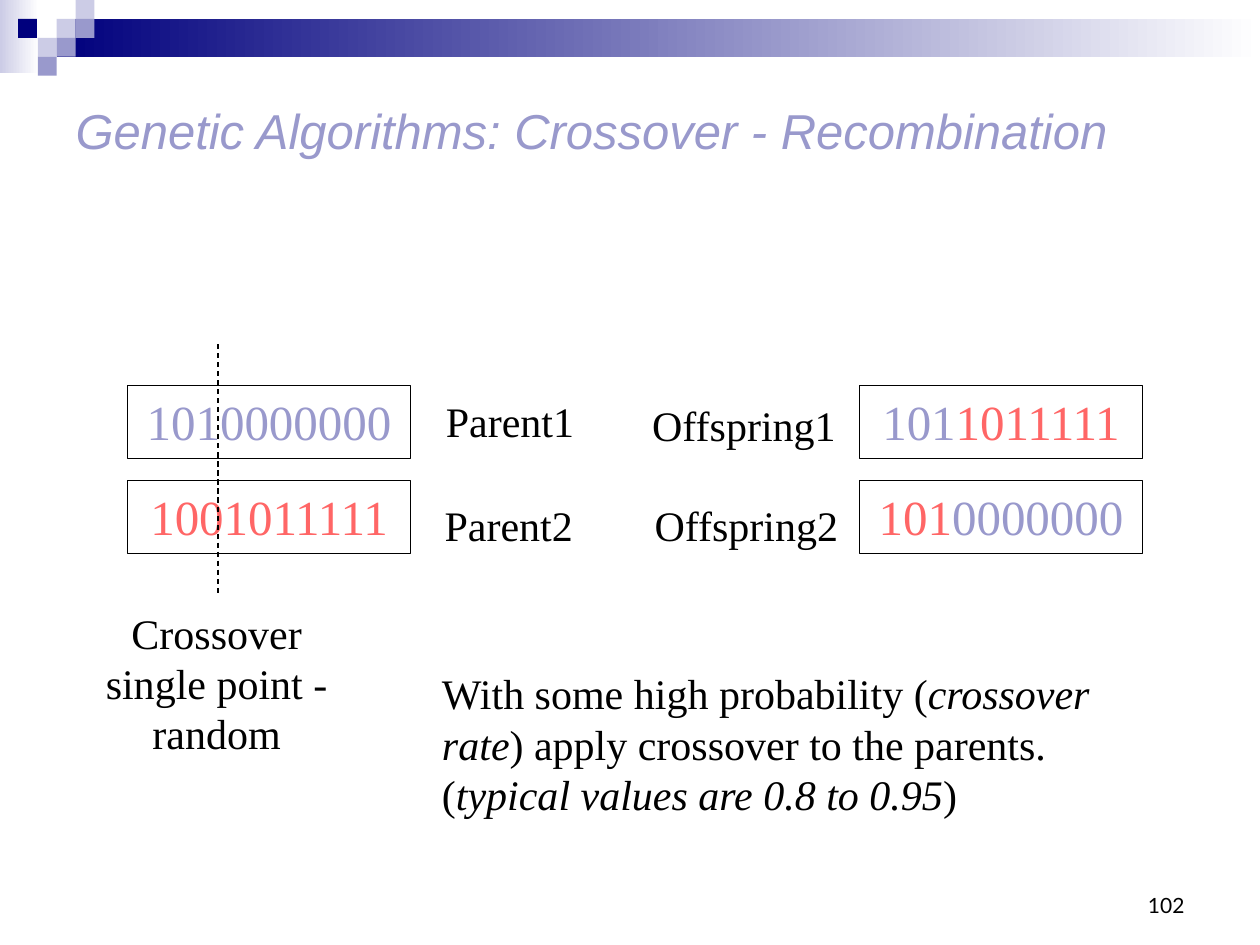
from lxml import etree
from pptx import Presentation
from pptx.dml.color import RGBColor
from pptx.enum.dml import MSO_LINE
from pptx.enum.shapes import MSO_CONNECTOR, MSO_SHAPE
from pptx.enum.text import MSO_ANCHOR, MSO_AUTO_SIZE, PP_ALIGN
from pptx.oxml.ns import qn
from pptx.util import Pt

RECT = MSO_SHAPE.RECTANGLE
LEFT, CENTER, RIGHT = PP_ALIGN.LEFT, PP_ALIGN.CENTER, PP_ALIGN.RIGHT
TOP, MIDDLE, BOTTOM = MSO_ANCHOR.TOP, MSO_ANCHOR.MIDDLE, MSO_ANCHOR.BOTTOM
SERIF = "Times New Roman"
COLORS = {"navy": "00007D", "violet": "9999CC", "pale": "CCCCE6",
          "red": "FF6666", "black": "000000", "white": "FFFFFF"}

# Content: each run is (text, color, italic)
TITLE = "Genetic Algorithms: Crossover - Recombination"
PAGE_NUMBER = "102"
PARENTS = [[("1010000000", "violet", False)],
           [("1001011111", "red", False)]]
OFFSPRING = [[("101", "violet", False), ("1011111", "red", False)],
             [("101", "red", False), ("0000000", "violet", False)]]
RATE_NOTE = [("With some high probability (", "black", False),
             ("crossover rate", "black", True),
             (") apply crossover to the parents. (", "black", False),
             ("typical values are 0.8 to 0.95", "black", True),
             (")", "black", False)]
LABELS = [  # text, alignment, (left, top, width, height)
    ("Parent1", LEFT, (247.7, 222.5, 121, 36)),
    ("Parent2", LEFT, (247, 282.2, 90, 36)),
    ("Offspring1", RIGHT, (356.4, 224.6, 128.2, 36)),
    ("Offspring2", RIGHT, (357.8, 282.2, 128.2, 36)),
    ("Crossover single point - random", CENTER, (53.3, 343.4, 141, 93.6)),
]

# Layout
TILE = 10.8
TILES = [(32.4, 10.8, "pale"), (43.2, 0, "pale"), (43.2, 10.8, "violet"),
         (21.6, 21.6, "pale"), (10.3, 10.8, "navy"), (32.4, 21.6, "violet"),
         (21.6, 32.4, "violet")]
BANDS = [((0, 0, 22.3, 41.8), "pale"), ((32.4, 10.8, 687.6, 21.6), "navy")]
GENOME_TOP, GENOME_STEP = 220.4, 54.2
GENOME_WIDTH, GENOME_HEIGHT = 162, 41.8
PARENT_LEFT, OFFSPRING_LEFT = 72.7, 491
CUT_X, CUT_TOP, CUT_BOTTOM = 124.6, 196.6, 340.6


def rgb(name):
    return RGBColor.from_string(COLORS[name])


def add_rect(slide, box):
    rect = slide.shapes.add_shape(RECT, *map(Pt, box))
    rect.shadow.inherit = False
    rect.line.fill.background()
    return rect


def write(shape, runs, size, align, font=SERIF, anchor=TOP):
    frame = shape.text_frame
    frame.word_wrap = True
    frame.auto_size = MSO_AUTO_SIZE.NONE
    frame.vertical_anchor = anchor
    paragraph = frame.paragraphs[0]
    paragraph.alignment = align
    for text, color, italic in runs:
        run = paragraph.add_run()
        run.text = text
        run.font.name, run.font.size = font, Pt(size)
        run.font.italic = italic
        run.font.color.rgb = rgb(color)


def add_text(slide, box, runs, size, align, **style):
    write(slide.shapes.add_textbox(*map(Pt, box)), runs, size, align, **style)


def add_genomes(slide, left, genomes):
    for row, runs in enumerate(genomes):
        top = GENOME_TOP + row * GENOME_STEP
        genome = add_rect(slide, (left, top, GENOME_WIDTH, GENOME_HEIGHT))
        genome.fill.background()
        genome.line.color.rgb = rgb("black")
        genome.line.width = Pt(0.75)
        write(genome, runs, 28, CENTER)


def main():
    prs = Presentation()
    prs.slide_width, prs.slide_height = Pt(720), Pt(540)
    slide = prs.slides.add_slide(prs.slide_layouts[5])

    # Header bands and tiles
    for box, color in BANDS:
        fill = add_rect(slide, box).fill
        fill.gradient()
        fill.gradient_angle = 0
        for stop, name in zip(fill.gradient_stops, (color, "white")):
            stop.color.rgb = rgb(name)
    for left, top, color in TILES:
        fill = add_rect(slide, (left, top, TILE, TILE)).fill
        fill.solid()
        fill.fore_color.rgb = rgb(color)

    # Title and page number
    title = slide.shapes.title
    title.left, title.top, title.width, title.height = map(
        Pt, (36, 16.6, 613.4, 115.2))
    write(title, [(TITLE, "violet", True)], 28, LEFT, "Arial", MIDDLE)
    add_text(slide, (516.2, 491.8, 167.8, 36),
             [(PAGE_NUMBER, "black", False)], 12, RIGHT,
             font="Lato", anchor=BOTTOM)

    # Genomes and crossover point
    add_genomes(slide, PARENT_LEFT, PARENTS)
    add_genomes(slide, OFFSPRING_LEFT, OFFSPRING)
    cut = slide.shapes.add_connector(
        MSO_CONNECTOR.STRAIGHT, *map(Pt, (CUT_X, CUT_TOP, CUT_X, CUT_BOTTOM)))
    cut.line.color.rgb = rgb("black")
    cut.line.width = Pt(0.75)
    cut.line.dash_style = MSO_LINE.DASH
    etree.SubElement(cut._element.spPr, qn("a:effectLst"))

    # Labels and note
    for text, align, box in LABELS:
        add_text(slide, box, [(text, "black", False)], 24, align)
    add_text(slide, (245.5, 378, 405.4, 93.6), RATE_NOTE, 24, LEFT)

    prs.save("out.pptx")


if __name__ == "__main__":
    main()
